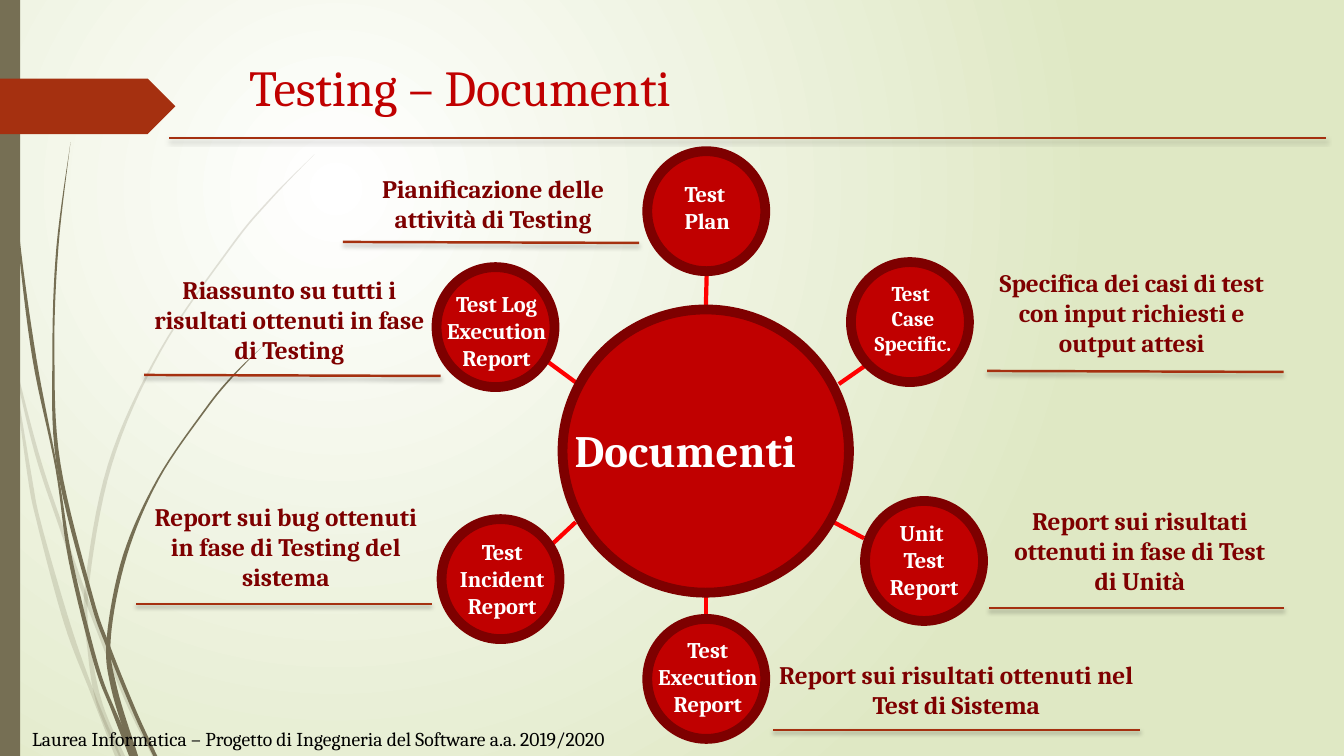
from dataclasses import dataclass

from lxml.etree import SubElement
from pptx import Presentation
from pptx.dml.color import RGBColor
from pptx.enum.shapes import MSO_CONNECTOR, MSO_SHAPE
from pptx.enum.text import MSO_ANCHOR, MSO_AUTO_SIZE, PP_ALIGN
from pptx.oxml.ns import qn
from pptx.util import Inches, Pt

FONT = "Cambria"
RED, DARK_RED, SPOKE_RED = "C00000", "7E0000", "FF0000"
RUST, OLIVE, WHITE, BLACK = "A53010", "766F54", "FFFFFF", "000000"
CIRCLE_WIDTH, CIRCLE_HEIGHT = 1.17, 1.19
CURVE_STEPS = 8


@dataclass
class Wisp:
    spine: list[tuple[float, float, float]]
    opacity: int = 100


@dataclass
class Document:
    label: list[str]
    label_box: tuple[float, float, float, float]
    circle: tuple[float, float]
    spoke: tuple[float, float, float, float]
    note: str
    note_box: tuple[float, float, float, float]
    underline: tuple[float, float, float, float]
    label_size: int = 16


WISPS = [
    Wisp([(0, 2.9, 0.02), (0.12, 3.5, 0.01), (0.36, 4.48, 0.02), (0.6, 5.21, 0.02),
          (0.86, 5.95, 0.02), (1.25, 6.93, 0.02), (1.53, 7.5, 0.02)], 20),
    Wisp([(0.11, 3.5, 0), (0.29, 4.7, 0.02), (0.39, 5.2, 0.02), (0.67, 6.2, 0.03),
          (0.92, 6.88, 0.02), (1.17, 7.5, 0.03)], 20),
    Wisp([(3.12, 1.53, 0), (2.68, 1.98, 0.01), (2.29, 2.45, 0.01), (1.59, 3.48, 0.01),
          (1.09, 4.61, 0.02), (0.86, 5.84, 0.02), (0.89, 6.46, 0.02),
          (0.99, 6.99, 0.03), (1.21, 7.5, 0.03)], 20),
    Wisp([(0.04, 0, 0), (0.07, 1.1, 0.01), (0.18, 2.33, 0.01), (0.34, 3.55, 0.02),
          (0.56, 4.65, 0.01), (0.7, 5.56, 0.02), (0.95, 6.58, 0.02),
          (1.13, 7.06, 0.02), (1.32, 7.5, 0.04)]),
    Wisp([(0.7, 1.41, 0), (0.57, 2.45, 0.01), (0.53, 3.49, 0.01), (0.58, 4.6, 0.02),
          (0.9, 5.91, 0.02), (1.08, 6.43, 0.02), (1.34, 7.07, 0.02), (1.54, 7.5, 0.02)]),
    Wisp([(2.6, 3.44, 0), (2.31, 3.73, 0.01), (2.04, 4.06, 0.01), (1.57, 4.75, 0.01),
          (1.24, 5.51, 0.02), (1.08, 6.32, 0.02), (1.13, 6.82, 0.03), (1.34, 7.5, 0.03)]),
]

DOCUMENTS = [
    Document(["Test ", "Plan"], (6.24, 1.74, 1.55, 0.64), (6.42, 1.5),
             (7, 3.07, 7.01, 2.69), "Pianiﬁcazione delle attività di Testing",
             (3.4, 1.67, 2.98, 0.71), (3.4, 2.4, 6.34, 2.41)),
    Document(["Test Log Execution Report"], (4.15, 2.83, 1.55, 0.91), (4.33, 2.65),
             (5.72, 3.8, 5.38, 3.55),
             "Riassunto su tutti i risultati ottenuti in fase di Testing",
             (1.38, 2.67, 2.98, 1.01), (1.43, 3.72, 4.37, 3.73)),
    Document(["Unit ", "Test", "Report"], (8.39, 5.1, 1.55, 0.91), (8.58, 4.97),
             (8.23, 5.16, 8.57, 5.34),
             "Report sui risultati ottenuti in fase di Test di Unità",
             (9.9, 4.96, 2.81, 1.01), (9.81, 6.03, 12.74, 6.03)),
    Document(["Test ", "Case Specific."], (8.42, 2.73, 1.27, 0.86), (8.44, 2.6),
             (8.32, 3.81, 8.65, 3.58),
             "Specifica dei casi di test con input richiesti e output attesi",
             (9.62, 2.6, 3.21, 1.01), (9.79, 3.68, 12.73, 3.69), 15),
    Document(["Test Incident Report"], (4.32, 5.29, 1.32, 0.91), (4.38, 5.15),
             (5.4, 5.47, 5.71, 5.18),
             "Report sui bug ottenuti in fase di Testing del sistema",
             (1.32, 4.92, 3.03, 1.01), (1.35, 5.99, 4.28, 5.99)),
    Document(["Test Execution Report"], (6.31, 6.26, 1.42, 0.91), (6.42, 6.14),
             (7, 6.3, 7, 5.88), "Report sui risultati ottenuti nel Test di Sistema",
             (7.5, 6.49, 3.97, 0.71), (7.67, 7.24, 11.31, 7.24)),
]


def color(code: str) -> RGBColor:
    return RGBColor.from_string(code)


def paint(shape, fill: str, line: str | None = None, weight: float = 0) -> None:
    shape.shadow.inherit = False
    shape.fill.solid()
    shape.fill.fore_color.rgb = color(fill)
    if line:
        shape.line.color.rgb = color(line)
        shape.line.width = Pt(weight)
    else:
        shape.line.fill.background()


def add_preset(page, kind, box: tuple, fill: str, line: str | None = None,
               weight: float = 0) -> None:
    paint(page.shapes.add_shape(kind, *map(Inches, box)), fill, line, weight)


def add_line(page, ends: tuple, code: str, weight: float, shaded: bool = False) -> None:
    line = page.shapes.add_connector(MSO_CONNECTOR.STRAIGHT, *map(Inches, ends))
    line.line.color.rgb = color(code)
    line.line.width = Pt(weight)
    effects = SubElement(line._element.spPr, qn("a:effectLst"))
    if shaded:
        shadow = SubElement(effects, qn("a:outerShdw"), blurRad=str(Pt(3)),
                            dist=str(Pt(2)), dir="5400000", rotWithShape="0")
        tint = SubElement(shadow, qn("a:srgbClr"), val=BLACK)
        SubElement(tint, qn("a:alpha"), val="25000")


def format_para(para, size: int, code: str, bold: bool, align) -> None:
    para.alignment = align
    para.font.name = FONT
    para.font.size = Pt(size)
    para.font.bold = bold
    para.font.color.rgb = color(code)


def add_text(page, box: tuple, lines: list[str], size: int, code: str,
             bold: bool = True, align=PP_ALIGN.CENTER, side_inset: float = 0.1) -> None:
    frame = page.shapes.add_textbox(*map(Inches, box)).text_frame
    frame.word_wrap = True
    frame.auto_size = MSO_AUTO_SIZE.SHAPE_TO_FIT_TEXT
    frame.margin_left = frame.margin_right = Inches(side_inset)
    frame.text = "\n".join(lines)
    for para in frame.paragraphs:
        format_para(para, size, code, bold, align)


def smooth(points: list[tuple]) -> list[tuple]:
    padded = [points[0], *points, points[-1]]
    curve = []
    for before, start, end, after in zip(padded, padded[1:], padded[2:], padded[3:]):
        for step in range(CURVE_STEPS):
            t = step / CURVE_STEPS
            curve.append(tuple(
                b + ((c - a) * t + (2 * a - 5 * b + 4 * c - d) * t ** 2
                     + (3 * b - a - 3 * c + d) * t ** 3) / 2
                for a, b, c, d in zip(before, start, end, after)))
    return curve + [points[-1]]


def add_wisp(page, wisp: Wisp) -> None:
    curve = smooth(wisp.spine)
    outline = [(x - half, y) for x, y, half in curve]
    outline += [(x + half, y) for x, y, half in reversed(curve)]
    corners = [(Inches(max(x, 0)), Inches(y)) for x, y in outline]
    builder = page.shapes.build_freeform(*corners[0])
    builder.add_line_segments(corners[1:])
    shape = builder.convert_to_shape()
    paint(shape, OLIVE)
    if wisp.opacity < 100:
        tint = shape._element.spPr.find(qn("a:solidFill")).find(qn("a:srgbClr"))
        SubElement(tint, qn("a:alpha"), val=str(wisp.opacity * 1000))


def set_background(page) -> None:
    fill = page.background.fill
    fill.gradient()
    for stop, code in zip(fill.gradient_stops, (WHITE, "DFE8C4")):
        stop.color.rgb = color(code)
    gradient = page._element.find(".//" + qn("a:gradFill"))
    gradient.remove(gradient.find(qn("a:lin")))
    circle = SubElement(gradient, qn("a:path"), path="circle")
    SubElement(circle, qn("a:fillToRect"), l="50000", t="50000", r="100000", b="100000")


def set_title(page) -> None:
    title = page.shapes.title
    title.left, title.top, title.width, title.height = map(Inches, (2.37, 0.47, 9.75, 0.78))
    frame = title.text_frame
    frame.text = "Testing – Documenti"
    frame.auto_size = MSO_AUTO_SIZE.NONE
    frame.vertical_anchor = MSO_ANCHOR.MIDDLE
    format_para(frame.paragraphs[0], 36, RED, False, PP_ALIGN.LEFT)


def main() -> None:
    deck = Presentation()
    deck.slide_width, deck.slide_height = Inches(13.33), Inches(7.5)
    page = deck.slides.add_slide(deck.slide_layouts[5])
    set_background(page)
    set_title(page)
    for wisp in WISPS:
        add_wisp(page, wisp)
    add_preset(page, MSO_SHAPE.RECTANGLE, (0, 0, 0.2, 7.5), OLIVE)
    add_preset(page, MSO_SHAPE.PENTAGON, (0, 0.78, 1.74, 0.55), RUST)
    for document in DOCUMENTS:
        add_line(page, document.spoke, SPOKE_RED, 3)
    add_line(page, (1.68, 1.37, 13.15, 1.37), RUST, 1.75, True)
    add_preset(page, MSO_SHAPE.OVAL, (5.58, 3.07, 2.84, 2.81), RED, DARK_RED, 7)
    add_text(page, (5.58, 4.14, 2.8, 0.64), ["Documenti"], 32, WHITE,
             align=PP_ALIGN.LEFT, side_inset=0.12)
    for document in DOCUMENTS:
        add_preset(page, MSO_SHAPE.OVAL, (*document.circle, CIRCLE_WIDTH, CIRCLE_HEIGHT),
                   RED, DARK_RED, 7)
        add_text(page, document.label_box, document.label, document.label_size, WHITE)
        add_line(page, document.underline, RUST, 1.75, True)
        add_text(page, document.note_box, [document.note], 18, DARK_RED)
    add_text(page, (0.22, 7.16, 8.86, 0.34),
             ["Laurea Informatica – Progetto di Ingegneria del Software a.a. 2019/2020"],
             14, BLACK, False, PP_ALIGN.LEFT)
    deck.save("out.pptx")


if __name__ == "__main__":
    main()
